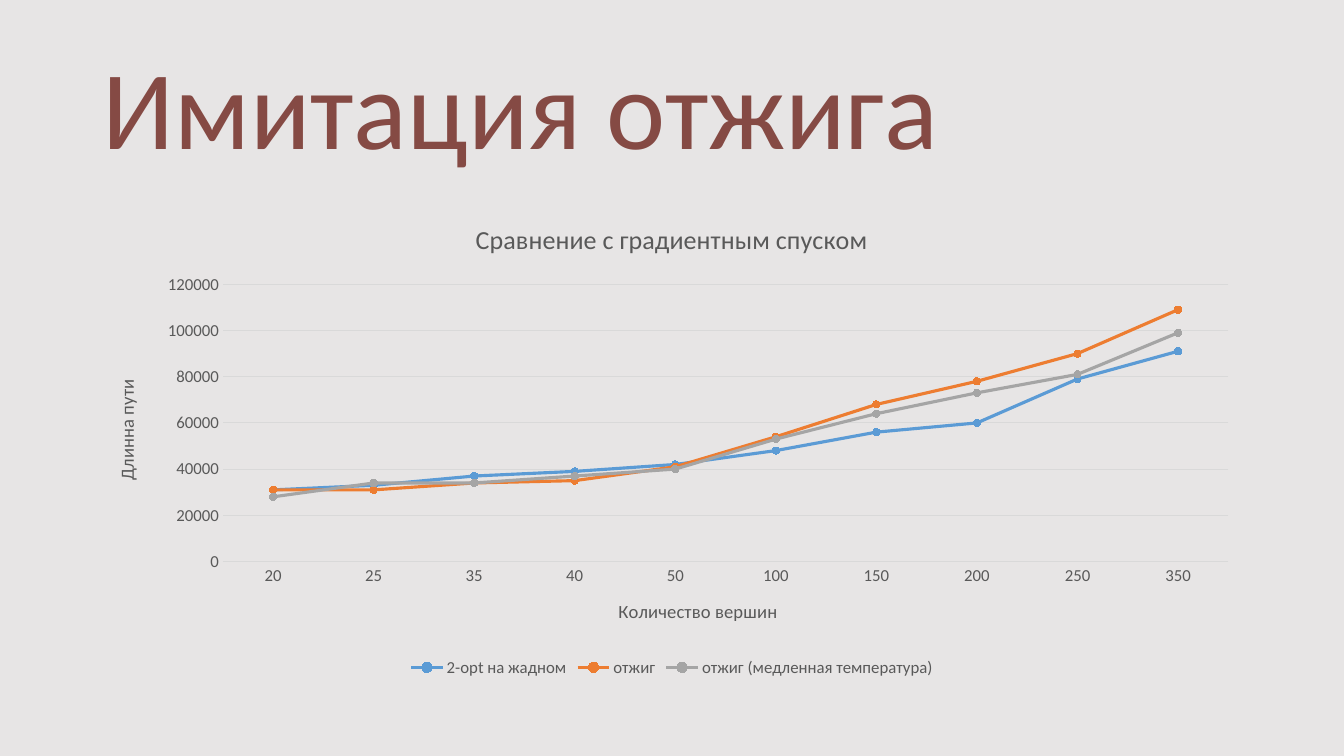
"""Build a slide comparing simulated annealing with gradient descent."""
from pptx import Presentation
from pptx.chart.data import CategoryChartData
from pptx.dml.color import RGBColor
from pptx.enum.chart import XL_CHART_TYPE, XL_LEGEND_POSITION, XL_MARKER_STYLE, XL_TICK_MARK
from pptx.enum.text import MSO_ANCHOR, MSO_AUTO_SIZE, PP_ALIGN
from pptx.util import Cm, Pt

LINE_MARKERS = XL_CHART_TYPE.LINE_MARKERS
LEGEND_BOTTOM = XL_LEGEND_POSITION.BOTTOM
CIRCLE = XL_MARKER_STYLE.CIRCLE
NO_TICK = XL_TICK_MARK.NONE
MIDDLE = MSO_ANCHOR.MIDDLE
NO_AUTOFIT = MSO_AUTO_SIZE.NONE
LEFT, CENTER = PP_ALIGN.LEFT, PP_ALIGN.CENTER

BACKGROUND = RGBColor(0xE7, 0xE5, 0xE5)
BROWN = RGBColor(0x85, 0x4A, 0x44)
DARK_GRAY = RGBColor(0x59, 0x59, 0x59)
GRID_GRAY = RGBColor(0xD9, 0xD9, 0xD9)
BLUE = RGBColor(0x5B, 0x9B, 0xD5)
ORANGE = RGBColor(0xED, 0x7D, 0x31)
GRAY = RGBColor(0xA5, 0xA5, 0xA5)

FONT = "Calibri"
MARGIN, CONTENT_WIDTH = Cm(2.33), Cm(29.21)
VERTEX_COUNTS = ["20", "25", "35", "40", "50", "100", "150", "200", "250", "350"]
PATH_LENGTHS = [
    ("2-opt на жадном", BLUE,
     [31000, 33000, 37000, 39000, 42000, 48000, 56000, 60000, 79000, 91000]),
    ("отжиг", ORANGE,
     [31000, 31000, 34000, 35000, 41000, 54000, 68000, 78000, 90000, 109000]),
    ("отжиг (медленная температура)", GRAY,
     [28000, 34000, 34000, 37000, 40000, 53000, 64000, 73000, 81000, 99000]),
]


def format_font(font, size, color):
    """Set the typeface, size and colour of a regular font."""
    font.name = FONT
    font.size = Pt(size)
    font.bold = False
    font.color.rgb = color


def write_text(frame, text, *, size, color=DARK_GRAY, align=CENTER, spacing=None):
    """Write one formatted paragraph into a text frame."""
    paragraph = frame.paragraphs[0]
    paragraph.alignment = align
    paragraph.line_spacing = spacing
    run = paragraph.add_run()
    run.text = text
    format_font(run.font, size, color)


def format_line(line, color, width):
    """Set the colour and width of a line."""
    line.color.rgb = color
    line.width = Pt(width)


def add_heading(slide, text):
    """Place and fill the title placeholder."""
    heading = slide.shapes.title
    heading.left, heading.top = MARGIN, Cm(1.01)
    heading.width, heading.height = CONTENT_WIDTH, Cm(3.68)
    frame = heading.text_frame
    frame.word_wrap = True
    frame.auto_size = NO_AUTOFIT
    frame.vertical_anchor = MIDDLE
    write_text(frame, text, size=80, color=BROWN, align=LEFT, spacing=0.9)


def format_axis(axis, title):
    """Title an axis and style its labels."""
    write_text(axis.axis_title.text_frame, title, size=13.3)
    axis.major_tick_mark = NO_TICK
    axis.minor_tick_mark = NO_TICK
    format_font(axis.tick_labels.font, 12, DARK_GRAY)


def format_series(series, color):
    """Style one line and its round markers."""
    series.smooth = False
    format_line(series.format.line, color, 2.25)
    marker = series.marker
    marker.style = CIRCLE
    marker.size = 5
    marker.format.fill.solid()
    marker.format.fill.fore_color.rgb = color
    format_line(marker.format.line, color, 0.75)


def add_comparison(slide):
    """Add the line chart of path lengths by vertex count."""
    data = CategoryChartData()
    data.categories = VERTEX_COUNTS
    for name, _, lengths in PATH_LENGTHS:
        data.add_series(name, lengths)
    chart = slide.shapes.add_chart(
        LINE_MARKERS, MARGIN, Cm(5.08), CONTENT_WIDTH, Cm(12.09), data).chart
    format_font(chart.font, 12, DARK_GRAY)
    write_text(chart.chart_title.text_frame, "Сравнение с градиентным спуском", size=18.6)
    chart.chart_title.include_in_layout = False

    format_axis(chart.category_axis, "Количество вершин")
    format_line(chart.category_axis.format.line, GRID_GRAY, 0.75)
    length_axis = chart.value_axis
    format_axis(length_axis, "Длинна пути")
    length_axis.minimum_scale, length_axis.maximum_scale = 0, 120000
    length_axis.major_unit = 20000
    length_axis.format.line.fill.background()
    format_line(length_axis.major_gridlines.format.line, GRID_GRAY, 0.75)

    chart.has_legend = True
    chart.legend.position = LEGEND_BOTTOM
    chart.legend.include_in_layout = False
    format_font(chart.legend.font, 12, DARK_GRAY)
    plot = chart.plots[0]
    plot.vary_by_categories = False
    for series, (_, color, _) in zip(plot.series, PATH_LENGTHS):
        format_series(series, color)


def main():
    """Build and save the slide."""
    presentation = Presentation()
    presentation.slide_width, presentation.slide_height = Cm(33.87), Cm(19.05)
    slide = presentation.slides.add_slide(presentation.slide_layouts[5])
    slide.background.fill.solid()
    slide.background.fill.fore_color.rgb = BACKGROUND
    add_heading(slide, "Имитация отжига")
    add_comparison(slide)
    presentation.save("out.pptx")


if __name__ == "__main__":
    main()
